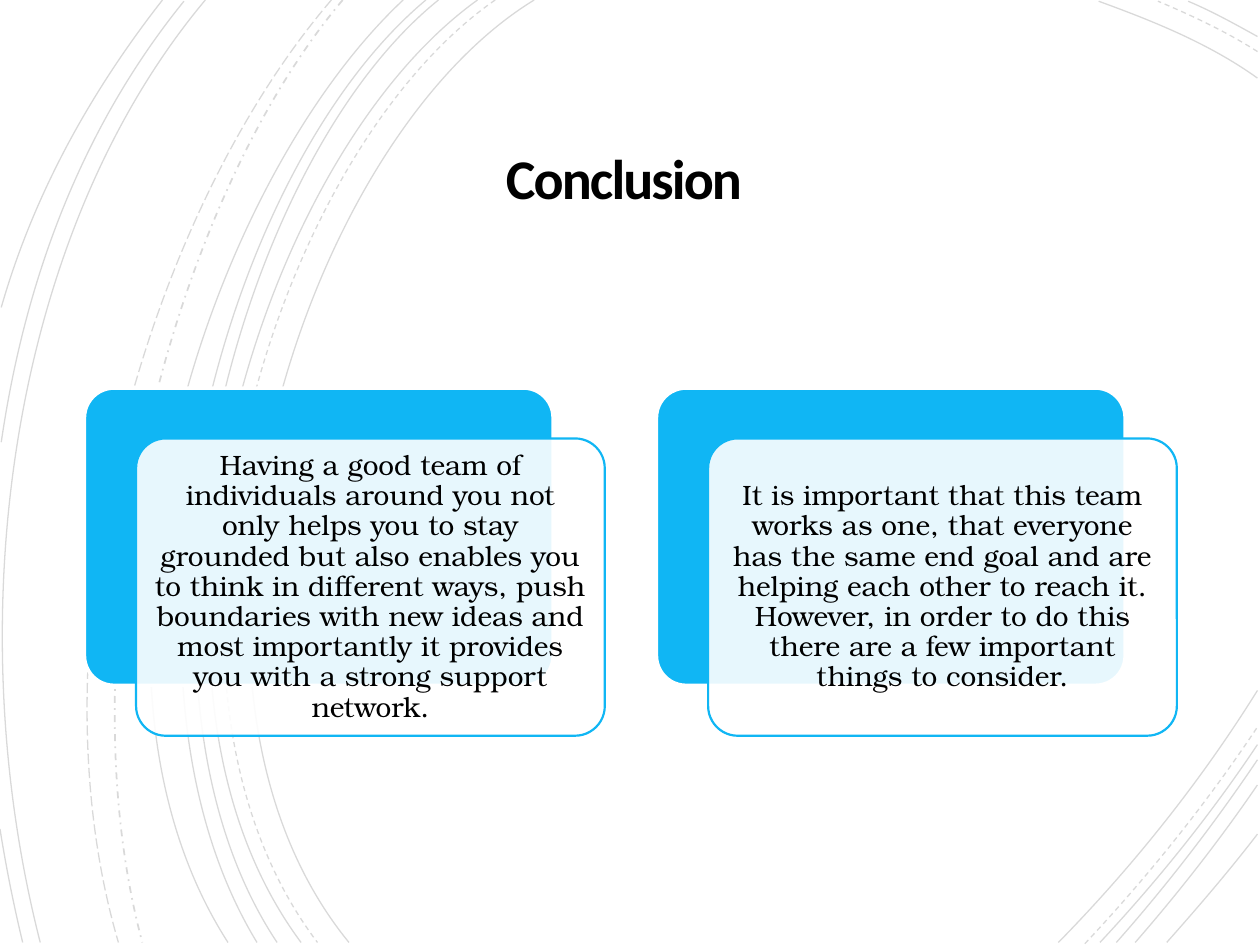
"""Build a conclusion slide with two layered cards over sweeping arcs."""
import lxml.etree
import pptx
import pptx.dml.color
import pptx.enum.dml
import pptx.enum.shapes
import pptx.enum.text
import pptx.oxml.ns
import pptx.util

Inches = pptx.util.Inches
Pt = pptx.util.Pt
qn = pptx.oxml.ns.qn

COLORS = {"white": "FFFFFF", "black": "000000", "accent": "10B6F4"}
DASH = pptx.enum.dml.MSO_LINE
SOLID, DASHED = (0.75, DASH.SOLID), (0.75, DASH.DASH)
DASH_DOT, LONG_DASH = (1, DASH.DASH_DOT), (0.75, DASH.LONG_DASH)

ARCS = [
    (SOLID, (4.24, 0), (2.36, 1.15), (1.07, 5.4), (2.77, 7.48)),
    (SOLID, (9.98, 0.62), (9.59, 0.34), (9.13, 0.16), (8.72, 0.01)),
    (SOLID, (8.4, 7.48), (8.97, 6.9), (9.52, 6.22), (9.98, 5.48)),
    (DASHED, (3.93, 0), (2.13, 1.25), (0.92, 5.37), (2.52, 7.48)),
    (DASHED, (9.98, 0.41), (9.73, 0.25), (9.45, 0.12), (9.19, 0.01)),
    (DASHED, (8.61, 7.49), (9.09, 6.98), (9.56, 6.4), (9.98, 5.77)),
    (SOLID, (3.79, 0), (2.02, 1.27), (0.82, 5.37), (2.39, 7.48)),
    (SOLID, (9.98, 0.29), (9.8, 0.19), (9.62, 0.09), (9.43, 0.01)),
    (SOLID, (8.73, 7.48), (9.17, 7.01), (9.6, 6.48), (9.98, 5.91)),
    (SOLID, (3.48, 0), (1.83, 1.33), (0.82, 5.41), (2.2, 7.48)),
    (SOLID, (8.86, 7.48), (9.25, 7.04), (9.63, 6.55), (9.98, 6.03)),
    (SOLID, (3.38, 0), (1.73, 1.38), (0.73, 5.33), (2.04, 7.48)),
    (SOLID, (9.01, 7.48), (9.35, 7.09), (9.68, 6.67), (9.98, 6.23)),
    (SOLID, (3.2, 0), (1.63, 1.47), (0.4, 5.29), (1.81, 7.48)),
    (SOLID, (9.26, 7.48), (9.5, 7.21), (9.75, 6.92), (9.98, 6.62)),
    (DASH_DOT, (2.72, 0), (1.32, 1.66), (0.49, 5.09), (1.13, 7.48)),
    (LONG_DASH, (2.63, 0), (1.18, 1.69), (0.21, 4.99), (0.94, 7.48)),
    (SOLID, (1.63, 0), (0.08, 1.85), (-0.34, 4.9), (0.32, 7.48)),
    (SOLID, (1.46, 0.01), (0.69, 0.96), (0.21, 2.14), (0.01, 3.51)),
    (SOLID, (0, 6.58), (0.05, 6.89), (0.11, 7.19), (0.18, 7.48)),
    (SOLID, (1.29, 0), (0.75, 0.69), (0.28, 1.5), (0.01, 2.44)),
]

CARD_TEXTS = [
    "Having a good team of individuals around you not only helps you to stay "
    "grounded but also enables you to think in different ways, push boundaries "
    "with new ideas and most importantly it provides you with a strong support "
    "network.",
    "It is important that this team works as one, that everyone has the same "
    "end goal and are helping each other to reach it. However, in order to do "
    "this there are a few important things to consider.",
]


def rgb(name):
    """Return the named colour."""
    return pptx.dml.color.RGBColor.from_string(COLORS[name])


def set_opacity(fill_format, parent, percent):
    """Make the solid fill found under the parent element partly transparent."""
    color = parent.find(qn("a:solidFill")).find(qn("a:srgbClr"))
    lxml.etree.SubElement(color, qn("a:alpha")).set("val", str(percent * 1000))


def add_arc(slide, style, points):
    """Draw one Bezier arc from its start, two control points and end."""
    width, dash = style
    start, *rest = [(Inches(x), Inches(y)) for x, y in points]
    builder = slide.shapes.build_freeform(*start)
    builder.add_line_segments(rest, close=False)
    arc = builder.convert_to_shape()
    outline = next(arc.element.iter(qn("a:path")))
    curve = lxml.etree.SubElement(outline, qn("a:cubicBezTo"))
    for segment in outline.findall(qn("a:lnTo")):
        curve.append(segment[0])
        outline.remove(segment)
    arc.shadow.inherit = False
    arc.fill.background()
    arc.line.width = Pt(width)
    arc.line.color.rgb = rgb("black")
    arc.line.dash_style = dash
    set_opacity(arc.line, arc.element.spPr.find(qn("a:ln")), 15)


def add_text(slide, box, text, font, size, inset, spacing):
    """Place centred text in a box and return its run."""
    frame = slide.shapes.add_textbox(*map(Inches, box)).text_frame
    frame.word_wrap = True
    frame.vertical_anchor = pptx.enum.text.MSO_ANCHOR.MIDDLE
    frame.margin_left = frame.margin_right = Inches(inset)
    frame.margin_top = frame.margin_bottom = Inches(inset)
    para = frame.paragraphs[0]
    para.alignment = pptx.enum.text.PP_ALIGN.CENTER
    para.line_spacing = spacing
    span = para.add_run()
    span.text = text
    span.font.name = font
    span.font.size = Pt(size)
    span.font.color.rgb = rgb("black")
    return span


def add_title(slide, box):
    """Place the slide title."""
    span = add_text(slide, box, "Conclusion ", "Calibri", 32, 0.25, 0.85)
    span.font.bold = True
    span.font._element.set("spc", "-110")


def add_panel(slide, box, fill, line, line_width):
    """Draw one rounded panel and return it."""
    panel = slide.shapes.add_shape(
        pptx.enum.shapes.MSO_SHAPE.ROUNDED_RECTANGLE, *map(Inches, box))
    panel.adjustments[0] = 0.1
    panel.shadow.inherit = False
    panel.fill.solid()
    panel.fill.fore_color.rgb = rgb(fill)
    panel.line.color.rgb = rgb(line)
    panel.line.width = Pt(line_width)
    return panel


def add_card(slide, box, text):
    """Layer a translucent text panel over an accent panel."""
    left, top, width, height = box
    front_left, front_top, pad = left + 0.41, top + 0.4, 0.07
    add_panel(slide, box, "accent", "white", 2)
    front = add_panel(slide, (front_left, front_top, width, height),
                      "white", "accent", 1.25)
    set_opacity(front.fill, front.element.spPr, 90)
    text_box = (front_left + pad, front_top + pad,
                width - 2 * pad, height - 2 * pad)
    add_text(slide, text_box, text, "TeX Gyre Bonum", 16, 0.07, 0.9)


def main():
    """Build and save the deck."""
    deck = pptx.Presentation()
    deck.slide_width, deck.slide_height = Inches(10), Inches(7.5)
    slide = deck.slides.add_slide(deck.slide_layouts[6])
    slide.background.fill.solid()
    slide.background.fill.fore_color.rgb = rgb("white")
    for style, *points in ARCS:
        add_arc(slide, style, points)
    add_title(slide, (1.44, 0.87, 7.11, 1.15))
    for index, text in enumerate(CARD_TEXTS):
        add_card(slide, (0.67 + index * 4.54, 3.08, 3.72, 2.36), text)
    deck.save("out.pptx")


if __name__ == "__main__":
    main()
